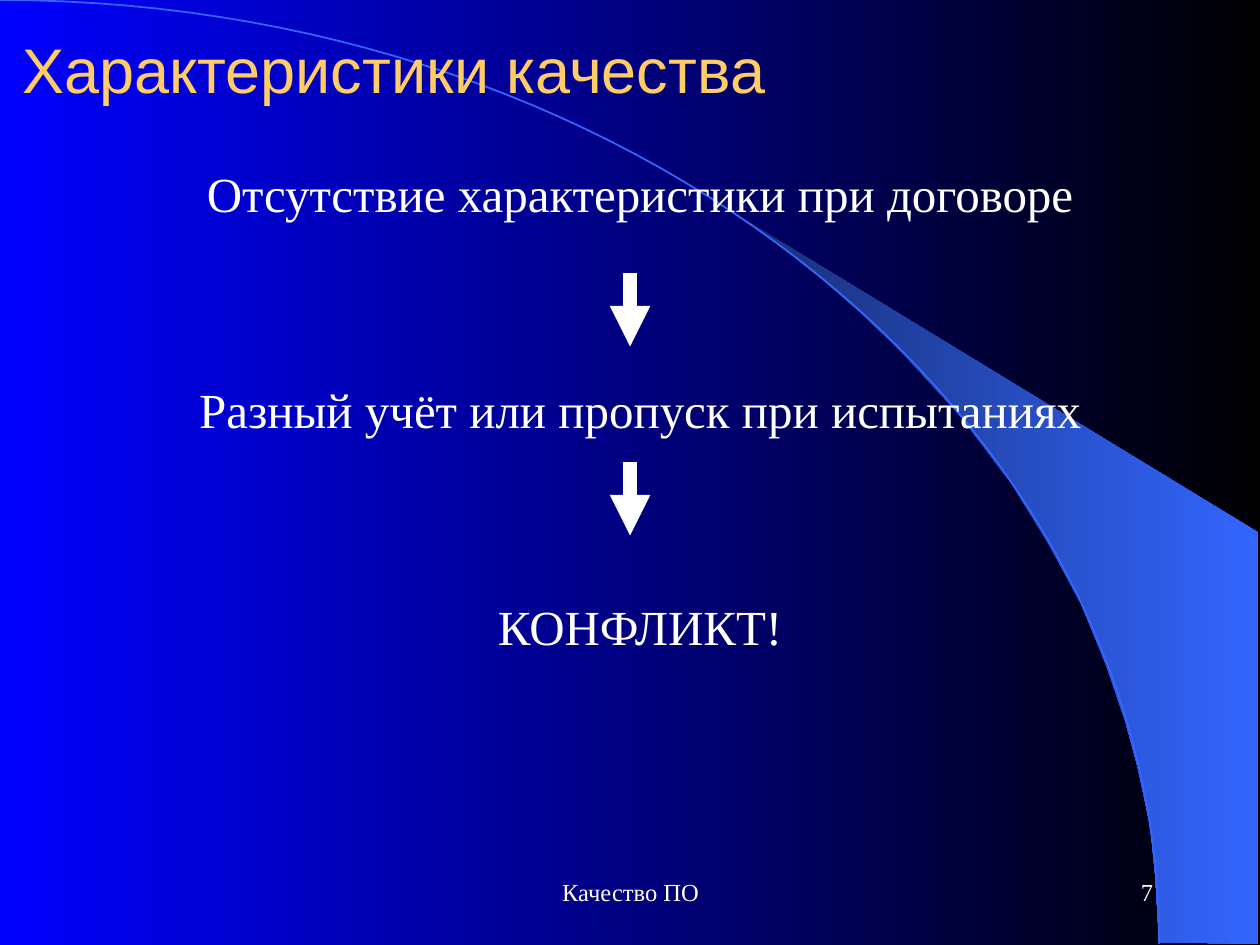
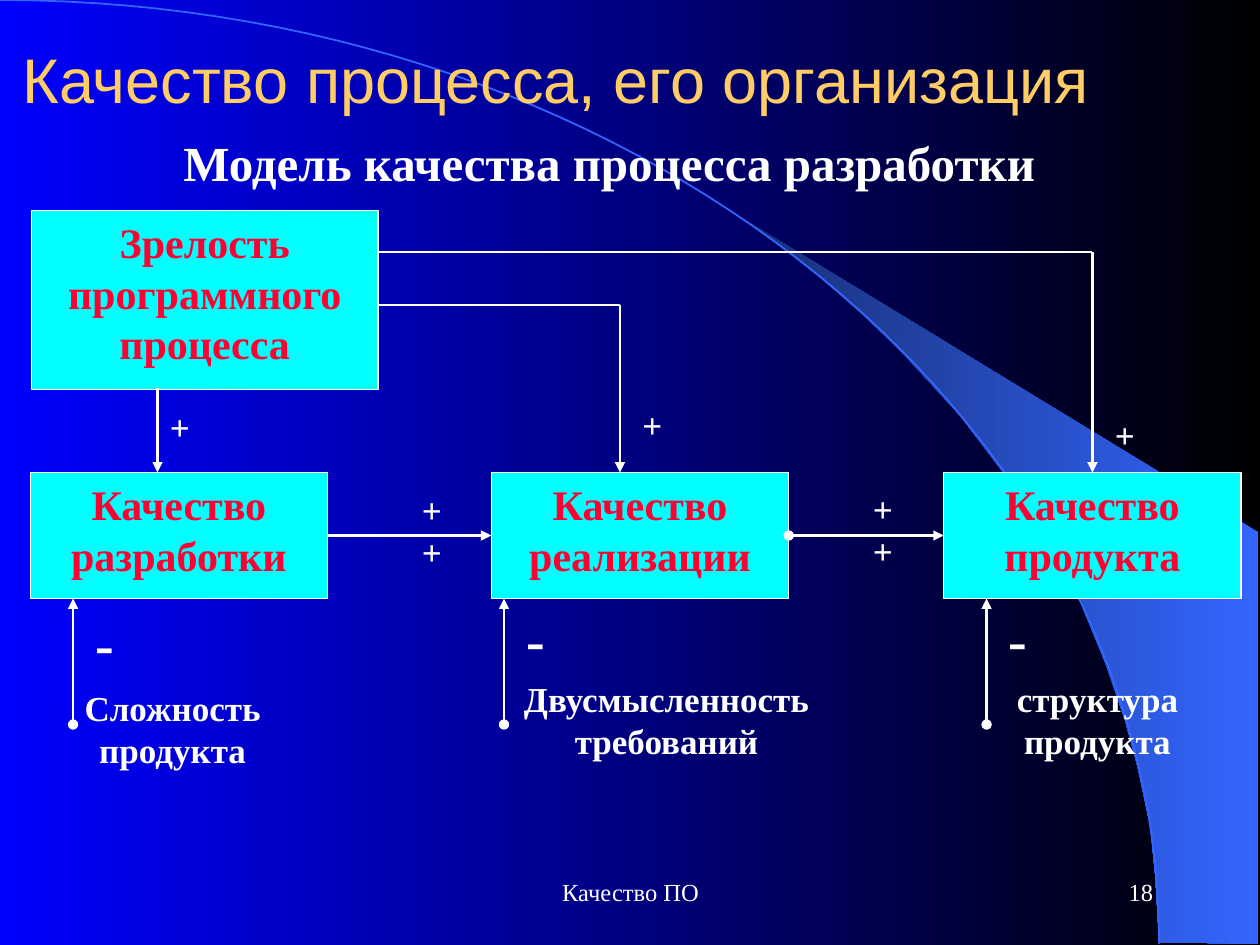
from lxml import etree
from pptx import Presentation
from pptx.dml.color import RGBColor
from pptx.enum.shapes import MSO_CONNECTOR, MSO_SHAPE
from pptx.enum.text import MSO_ANCHOR, PP_ALIGN
from pptx.oxml.ns import qn
from pptx.util import Inches, Pt

STRAIGHT = MSO_CONNECTOR.STRAIGHT
RECTANGLE = MSO_SHAPE.RECTANGLE
TOP, MIDDLE = MSO_ANCHOR.TOP, MSO_ANCHOR.MIDDLE
LEFT, CENTER, RIGHT = PP_ALIGN.LEFT, PP_ALIGN.CENTER, PP_ALIGN.RIGHT
LEFT_SIDE, RIGHT_SIDE = 1, 3

BLUE = RGBColor(0x00, 0x00, 0xFF)
BLACK = RGBColor(0x00, 0x00, 0x00)
NAVY = RGBColor(0x18, 0x2F, 0x76)
SKY = RGBColor(0x33, 0x66, 0xFF)
WHITE = RGBColor(0xFF, 0xFF, 0xFF)
GOLD = RGBColor(0xFF, 0xCC, 0x66)
CYAN = RGBColor(0x00, 0xFF, 0xFF)
RED = RGBColor(0xFF, 0x00, 0x33)

TITLE_FONT = "Arial"
BODY_FONT = "Times New Roman"
FOOTER = "Качество ПО"

BEAM = [(9.2, 7.48), (9.99, 7.49), (9.99, 4.23), (5.89, 1.73), (6.24, 1.99),
        (6.53, 2.22), (6.85, 2.5), (7.16, 2.8), (7.62, 3.3), (8.03, 3.84),
        (8.32, 4.31), (8.58, 4.79), (8.78, 5.28), (8.93, 5.72), (9.03, 6.09),
        (9.13, 6.56), (9.17, 6.96)]
ARC_CONTROLS = [(0, 0), (5.08, 0), (9.2, 3.35), (9.2, 7.49)]
ARC_STEPS = 60


def fill_gradient(fill, start, end):
    """Fill from left to right."""
    fill.gradient()
    fill.gradient_angle = 0
    for stop, color in zip(fill.gradient_stops, (start, end)):
        stop.color.rgb = color


def bezier_points(controls, steps):
    points = []
    for step in range(steps + 1):
        t = step / steps
        weights = ((1 - t) ** 3, 3 * t * (1 - t) ** 2, 3 * t * t * (1 - t), t ** 3)
        points.append(tuple(sum(w * c[axis] for w, c in zip(weights, controls))
                            for axis in (0, 1)))
    return points


def add_outline(slide, points, close):
    start, *others = [(Inches(x), Inches(y)) for x, y in points]
    builder = slide.shapes.build_freeform(*start)
    builder.add_line_segments(others, close=close)
    shape = builder.convert_to_shape()
    shape.shadow.inherit = False
    return shape


def write_text(shape, text, size, color=WHITE, bold=False, align=LEFT,
               anchor=TOP, font=BODY_FONT, gap=0):
    """Write one paragraph per line of text, with gap points between them."""
    frame = shape.text_frame
    frame.word_wrap = True
    frame.vertical_anchor = anchor
    frame.text = text
    for index, paragraph in enumerate(frame.paragraphs):
        paragraph.alignment = align
        if index:
            paragraph.space_before = Pt(gap)
        for run in paragraph.runs:
            run.font.name = font
            run.font.size = Pt(size)
            run.font.bold = bold
            run.font.color.rgb = color


def add_text(slide, left, top, width, height, text, size, **style):
    box = slide.shapes.add_textbox(Inches(left), Inches(top),
                                   Inches(width), Inches(height))
    write_text(box, text, size, **style)


def add_box(slide, left, top, width, height, text):
    box = slide.shapes.add_shape(RECTANGLE, Inches(left), Inches(top),
                                 Inches(width), Inches(height))
    box.shadow.inherit = False
    box.fill.solid()
    box.fill.fore_color.rgb = CYAN
    box.line.color.rgb = WHITE
    box.line.width = Pt(0.75)
    write_text(box, text, 24, color=RED, bold=True, align=CENTER)
    return box


def add_line(slide, start, end, width=1.5, head=None, tail="triangle"):
    """Draw a line; head and tail name the marks at its start and end."""
    line = slide.shapes.add_connector(
        STRAIGHT, *(Inches(value) for value in (*start, *end)))
    line.line.color.rgb = WHITE
    line.line.width = Pt(width)
    outline = line.line._get_or_add_ln()
    for tag, mark in (("a:headEnd", head), ("a:tailEnd", tail)):
        if mark:
            etree.SubElement(outline, qn(tag), type=mark)
    etree.SubElement(line._element.spPr, qn("a:effectLst"))
    return line


def join_boxes(slide, source, target, head=None):
    line = add_line(slide, (0, 0), (1, 1), head=head)
    line.begin_connect(source, RIGHT_SIDE)
    line.end_connect(target, LEFT_SIDE)


def add_base_slide(presentation, title, title_area, number):
    """Add a slide with the shared background, title and footer."""
    slide = presentation.slides.add_slide(presentation.slide_layouts[6])
    fill_gradient(slide.background.fill, BLUE, BLACK)

    beam = add_outline(slide, BEAM, close=True)
    fill_gradient(beam.fill, NAVY, SKY)
    beam.line.fill.background()

    arc = add_outline(slide, bezier_points(ARC_CONTROLS, ARC_STEPS), close=False)
    arc.fill.background()
    arc.line.color.rgb = SKY
    arc.line.width = Pt(1)

    add_text(slide, *title_area, title, 36, color=GOLD, font=TITLE_FONT, anchor=MIDDLE)
    add_text(slide, 3.42, 6.83, 3.17, 0.5, FOOTER, 14, align=CENTER, anchor=MIDDLE)
    add_text(slide, 7.17, 6.83, 2.08, 0.5, str(number), 14, align=RIGHT, anchor=MIDDLE)
    return slide


def build_conflict_slide(presentation):
    slide = add_base_slide(presentation, "Характеристики качества",
                           (0.08, -0.08, 8.5, 1.25), 7)
    steps = ["Отсутствие характеристики при договоре",
             "Разный учёт или пропуск при испытаниях",
             "КОНФЛИКТ!"]
    add_text(slide, 0.83, 1.25, 8.5, 4.5, "\n".join(steps), 28, align=CENTER, gap=90)
    for top in (2.17, 3.67):
        add_line(slide, (5, top), (5, top + 0.58), width=7.75)


def build_model_slide(presentation):
    slide = add_base_slide(presentation, "Качество процесса, его организация",
                           (0.08, 0.08, 9.92, 1.08), 18)
    add_text(slide, 0.75, 1, 8.17, 0.57, "Модель качества процесса разработки", 28,
             bold=True, align=CENTER)

    add_box(slide, 0.25, 1.67, 2.75, 1.42, "Зрелость программного процесса")
    development, realization, product = [
        add_box(slide, left, 3.75, 2.36, 1, f"Качество {subject}")
        for left, subject in ((0.24, "разработки"), (3.9, "реализации"), (7.49, "продукта"))]
    join_boxes(slide, development, realization)
    join_boxes(slide, realization, product, head="oval")

    add_line(slide, (1.25, 3.08), (1.25, 3.75))
    for x, y in ((4.92, 2.42), (8.67, 2)):
        add_line(slide, (3, y), (x, y), tail=None)
        add_line(slide, (x, y), (x, 3.75))

    for left, top, sign in ((1.25, 3.17, "+"), (5, 3.15, "+"), (8.75, 3.23, "+"),
                            (3.25, 3.83, "++"), (6.83, 3.82, "++")):
        add_text(slide, left, top, 0.33, 0.11 + 0.33 * len(sign), sign, 20, bold=True)

    for x, minus_top, left, top, factor in (
            (0.58, 4.78, 0.08, 5.4, "Сложность продукта"),
            (4, 4.75, 4, 5.33, "Двусмысленность требований"),
            (7.83, 4.75, 7.42, 5.33, "структура продукта")):
        add_line(slide, (x, 5.75), (x, 4.75), head="oval")
        add_text(slide, x + 0.08, minus_top, 0.33, 0.64, "-", 32, bold=True)
        add_text(slide, left, top, 2.58, 0.77, factor, 20, bold=True, align=CENTER)


def main():
    presentation = Presentation()
    presentation.slide_width = Inches(10)
    presentation.slide_height = Inches(7.5)
    build_conflict_slide(presentation)
    build_model_slide(presentation)
    presentation.save("out.pptx")


if __name__ == "__main__":
    main()
